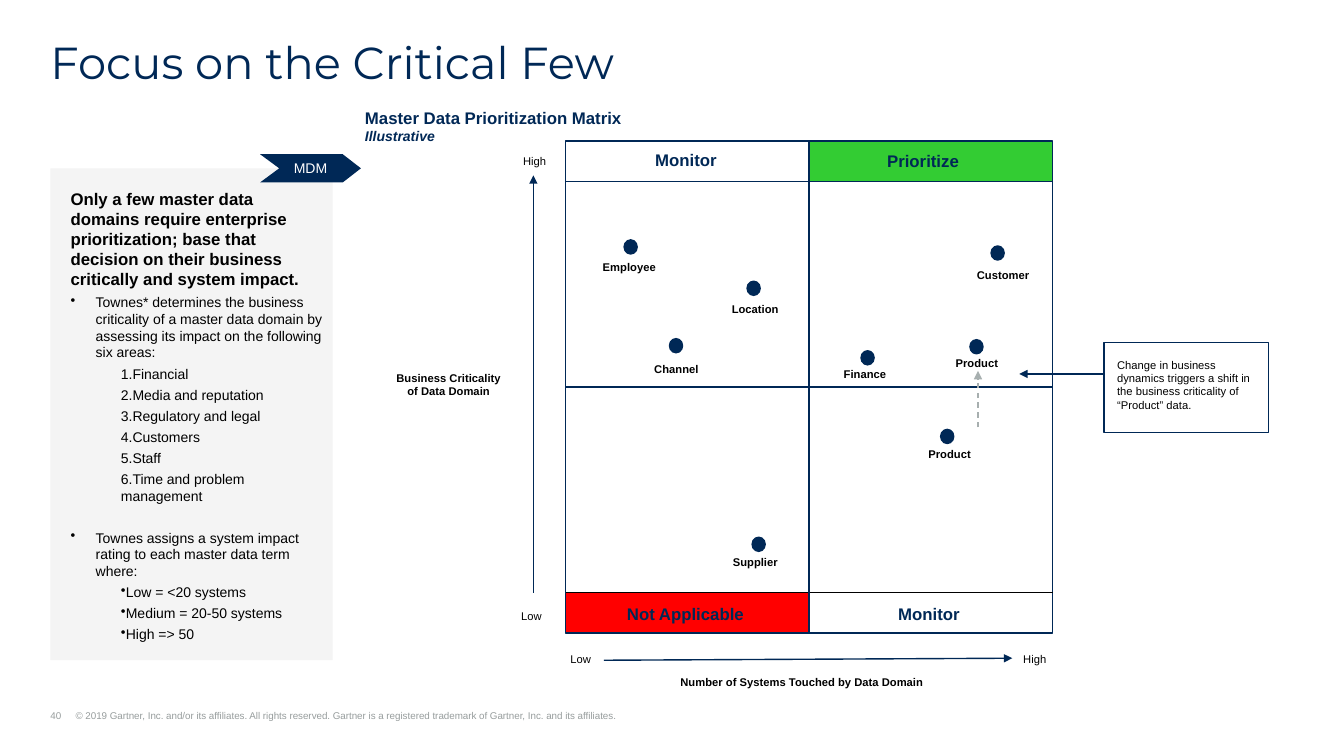
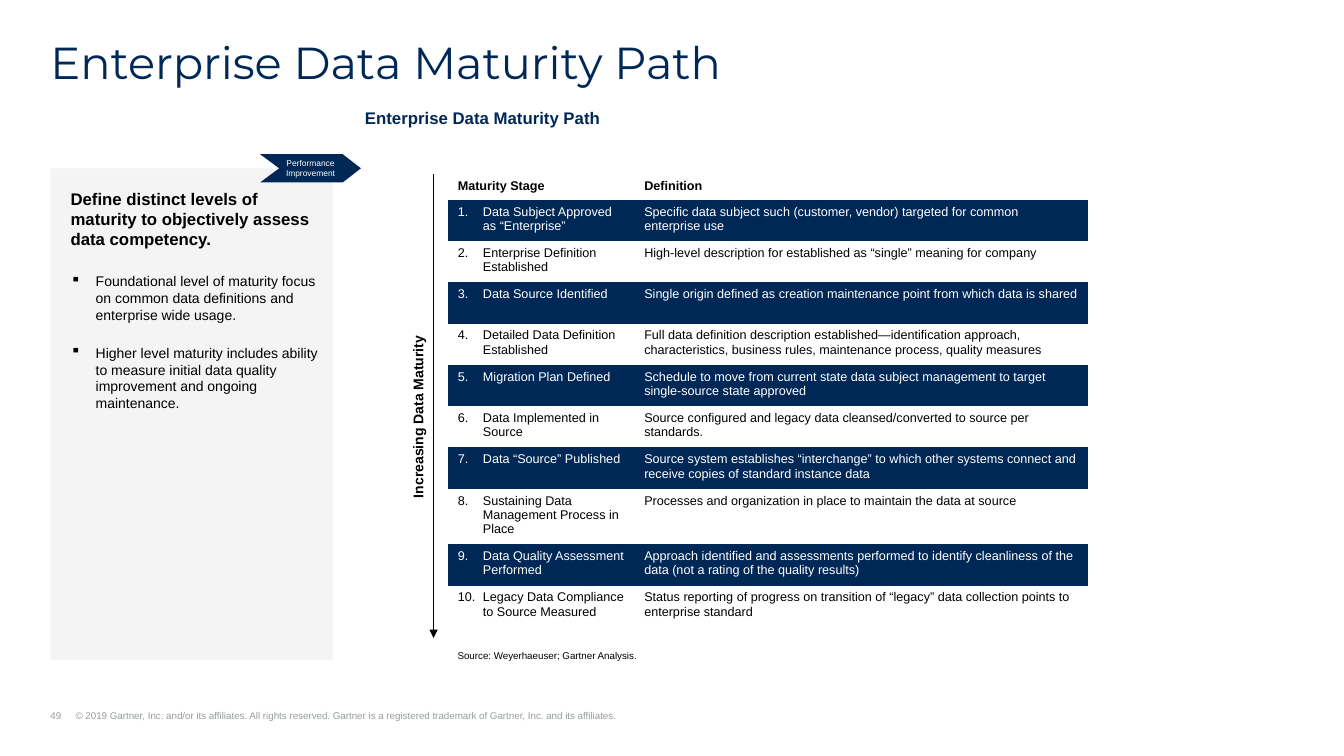
from dataclasses import dataclass

from lxml.etree import SubElement
from pptx import Presentation
from pptx.dml.color import RGBColor
from pptx.enum.dml import MSO_LINE
from pptx.enum.shapes import MSO_CONNECTOR, MSO_SHAPE
from pptx.enum.text import MSO_ANCHOR, MSO_AUTO_SIZE, PP_ALIGN
from pptx.oxml.ns import qn
from pptx.util import Inches, Pt


@dataclass(frozen=True)
class Theme:
    navy: str = "002856"
    black: str = "000000"
    white: str = "FFFFFF"
    panel: str = "F4F4F4"
    footer: str = "979D9D"
    shift: str = "A7AFAF"
    green: str = "33CC33"
    red: str = "FF0000"
    title_font: str = "Montserrat"
    body_font: str = "Arial"
    title_size: int = 32
    head_size: int = 12
    body_size: int = 10
    table_size: int = 9
    label_size: int = 8
    small_size: int = 7
    tag_size: int = 6


THEME = Theme()


def grid(cells):
    """Length of a number of grid cells, a tenth of an inch each."""
    return Inches(cells / 10)


@dataclass(frozen=True)
class Box:
    """An area of the slide, measured in grid cells."""
    left: float
    top: float
    width: float
    height: float

    def inner(self, left, top, width, height):
        return Box(self.left + left, self.top + top, width, height)

    def point(self, across, down):
        return grid(self.left + across), grid(self.top + down)

    def place(self):
        return grid(self.left), grid(self.top), grid(self.width), grid(self.height)


TITLE = Box(5, 4, 123.33, 4.8)
FOOTER = Box(5, 70.4, 79.9, 1.2)
PANEL = Box(5, 16.7, 28, 48.8)
HEADING = Box(36.2, 10.7, 39.2, 4)
MATRIX = Box(56.1, 14, 48.3, 48.8)
STAGES = Box(44.4, 17.3, 63.5, 46)
TAG_OUTLINE = [(0.82, 0), (1, 0.5), (0.82, 1), (0, 1), (0.19, 0.5), (0, 0)]

AREAS = ["Financial", "Media and reputation", "Regulatory and legal", "Customers",
         "Staff", "Time and problem management"]
RATINGS = ["Low = <20 systems", "Medium = 20-50 systems", "High => 50"]

# Domain name, then the corner of its dot and of its label in the matrix
DOMAINS = [
    ("Employee", (5.8, 9.8), (2.7, 11.3)),
    ("Location", (18, 13.9), (15.5, 15.5)),
    ("Channel", (10.3, 19.6), (7.8, 21.5)),
    ("Supplier", (18.5, 39.3), (15.6, 40.6)),
    ("Finance", (29.3, 20.8), (26.6, 21.9)),
    ("Product", (40.1, 19.7), (37.7, 20.9)),
    ("Customer", (42.2, 10.4), (39.8, 12.1)),
    ("Product", (37.2, 28.6), (35, 29.9)),
]

MATURITY = [
    ("Data Subject Approved as “Enterprise”",
     "Specific data subject such (customer, vendor) targeted for common enterprise use"),
    ("Enterprise Definition Established",
     "High-level description for established as “single” meaning for company"),
    ("Data Source Identified",
     "Single origin defined as creation maintenance point from which data is shared"),
    ("Detailed Data Definition Established",
     "Full data definition description established—identification approach, "
     "characteristics, business rules, maintenance process, quality measures"),
    ("Migration Plan Defined",
     "Schedule to move from current state data subject management to target "
     "single-source state approved"),
    ("Data Implemented in Source",
     "Source configured and legacy data cleansed/converted to source per standards."),
    ("Data “Source” Published",
     "Source system establishes “interchange” to which other systems connect and "
     "receive copies of standard instance data"),
    ("Sustaining Data Management Process in Place",
     "Processes and organization in place to maintain the data at source"),
    ("Data Quality Assessment Performed",
     "Approach identified and assessments performed to identify cleanliness of the "
     "data (not a rating of the quality results)"),
    ("Legacy Data Compliance to Source Measured",
     "Status reporting of progress on transition of “legacy” data collection points "
     "to enterprise standard"),
]


# Shared building blocks

def color(value):
    return RGBColor.from_string(value)


def write(para, text, size, tint=THEME.black, bold=False, italic=False,
          font=THEME.body_font, align=PP_ALIGN.LEFT, before=0, after=0):
    para.text = text
    para.alignment = align
    para.space_before, para.space_after = Pt(before), Pt(after)
    for span in para.runs:
        span.font.name, span.font.size = font, Pt(size)
        span.font.bold, span.font.italic = bold, italic
        span.font.color.rgb = color(tint)


def indent(para, margin, hanging=0, char=None, number=None):
    """Set the indent in grid cells, with a bullet or a number if given."""
    props = para._p.get_or_add_pPr()
    props.set("marL", str(grid(margin)))
    props.set("indent", str(grid(-hanging)))
    if char:
        SubElement(props, qn("a:buChar"), char=char)
    if number:
        SubElement(props, qn("a:buAutoNum"), type="arabicPeriod", startAt=str(number))
    return props


def set_frame(frame, insets=(1, 0.5, 1, 0.5), anchor=MSO_ANCHOR.TOP):
    frame.word_wrap = True
    frame.auto_size = MSO_AUTO_SIZE.NONE
    frame.vertical_anchor = anchor
    (frame.margin_left, frame.margin_top,
     frame.margin_right, frame.margin_bottom) = map(grid, insets)
    return frame


def add_label(page, box, text, size=THEME.label_size, insets=(1, 0.5, 1, 0.5), **style):
    label = page.shapes.add_textbox(*box.place())
    write(set_frame(label.text_frame, insets).paragraphs[0], text, size, **style)
    return label


def paint(shape, fill=None, line=None):
    shape.shadow.inherit = False
    if fill:
        shape.fill.solid()
        shape.fill.fore_color.rgb = color(fill)
    else:
        shape.fill.background()
    if line:
        shape.line.color.rgb, shape.line.width = color(line), Pt(1)
    else:
        shape.line.fill.background()
    return shape


def add_block(page, box, kind=MSO_SHAPE.RECTANGLE, **look):
    return paint(page.shapes.add_shape(kind, *box.place()), **look)


def add_line(page, start, end, tint=THEME.navy, width=1, arrow=False, dash=None):
    line = page.shapes.add_connector(MSO_CONNECTOR.STRAIGHT, *start, *end)
    line.line.color.rgb, line.line.width = color(tint), Pt(width)
    if dash:
        line.line.dash_style = dash
    if arrow:
        SubElement(line.line._get_or_add_ln(), qn("a:tailEnd"), type="triangle")
    SubElement(line._element.spPr, qn("a:effectLst"))


# Parts found on every slide

def add_page(deck, title, heading, number):
    page = deck.slides.add_slide(deck.slide_layouts[5])
    holder = page.shapes.title
    holder.left, holder.top, holder.width, holder.height = TITLE.place()
    para = set_frame(holder.text_frame, (0, 0, 0, 0)).paragraphs[0]
    write(para, title, THEME.title_size, THEME.navy, font=THEME.title_font, after=12)
    para.line_spacing = 0.9

    footer = page.shapes.add_textbox(*FOOTER.place())
    para = set_frame(footer.text_frame, (0, 0, 0, 0), MSO_ANCHOR.BOTTOM).paragraphs[0]
    tabs = SubElement(indent(para, 2.5, 2.5), qn("a:tabLst"))
    SubElement(tabs, qn("a:tab"), pos=str(grid(2.5)), algn="l")
    write(para, f"{number}\t© 2019 Gartner, Inc. and/or its affiliates. All rights reserved. "
          "Gartner is a registered trademark of Gartner, Inc. and its affiliates.",
          THEME.small_size, THEME.footer)
    label = add_label(page, HEADING, heading, THEME.head_size, (0, 0, 0, 0),
                      tint=THEME.navy, bold=True)
    return page, label


def add_panel(page, box, message, after):
    panel = add_block(page, box, fill=THEME.panel)
    frame = set_frame(panel.text_frame, (2, 2, 1, 2))
    write(frame.paragraphs[0], message, THEME.head_size, bold=True, after=after)
    return frame


def add_point(frame, text, margin, hanging=0, char=None, number=None, before=0, after=3):
    para = frame.add_paragraph()
    indent(para, margin, hanging, char, number)
    write(para, text, THEME.body_size, before=before, after=after)


def add_tag(page, panel, text, size):
    """Notched arrow across the top right corner of the panel."""
    box = panel.inner(20.8, -1.4, 10, 2.8)
    points = [box.point(x * box.width, y * box.height) for x, y in TAG_OUTLINE]
    builder = page.shapes.build_freeform(*points[0])
    builder.add_line_segments(points[1:], close=True)
    tag = paint(builder.convert_to_shape(), fill=THEME.navy)
    frame = set_frame(tag.text_frame, anchor=MSO_ANCHOR.MIDDLE)
    write(frame.paragraphs[0], text, size, THEME.white, align=PP_ALIGN.CENTER)


# Prioritization matrix

def add_matrix(page, box):
    band, middle = 4, box.width / 2
    base = box.height - band
    add_block(page, box.inner(middle, 0, middle, band), fill=THEME.green)
    add_block(page, box.inner(0, base, middle, band), fill=THEME.red)
    add_block(page, box, line=THEME.navy)
    for down, tint in ((box.height / 2, THEME.navy), (base, THEME.black), (band, THEME.navy)):
        add_line(page, box.point(0, down), box.point(box.width, down), tint)
    add_line(page, box.point(middle, 0), box.point(middle, box.height))

    for text, left, top in (("Monitor", 7.9, 0.4), ("Prioritize", 30.9, 0.5),
                            ("Not Applicable", 5.1, 45.4), ("Monitor", 32, 45.4)):
        add_label(page, box.inner(left, top, 15.2, 3), text, THEME.head_size,
                  tint=THEME.navy, bold=True)
    for name, dot, label in DOMAINS:
        add_block(page, box.inner(*dot, 1.3, 1.4), MSO_SHAPE.OVAL,
                  fill=THEME.navy, line=THEME.navy)
        add_label(page, box.inner(*label, 11.3, 2.4), name, bold=True)


def add_axes(page, box):
    add_line(page, box.point(-3.2, 44.8), box.point(-3.2, 3.4), arrow=True)
    add_line(page, box.point(3.8, 51.5), box.point(44.3, 51.3), arrow=True)
    for text, left, top in (("Low", -5.4, 46), ("High", -5.2, 0.8),
                            ("Low", -0.5, 50.2), ("High", 44.4, 50.2)):
        add_label(page, box.inner(left, top, 5.6, 2.4), text)
    add_label(page, box.inner(-17.9, 22.3, 12.6, 3.7), "Business Criticality of Data Domain",
              bold=True, align=PP_ALIGN.CENTER)
    add_label(page, box.inner(10.4, 52.5, 39.7, 2.4),
              "Number of Systems Touched by Data Domain", bold=True)


def add_shift_note(page, box):
    note = add_block(page, box.inner(53.4, 20, 16.3, 8.9), line=THEME.navy)
    write(set_frame(note.text_frame, (1.3, 1.5, 1.3, 0.5)).paragraphs[0],
          "Change in business dynamics triggers a shift in the business criticality of "
          "“Product” data.", THEME.label_size)
    add_line(page, box.point(53.4, 23.1), box.point(45, 23.1), arrow=True)
    add_line(page, box.point(40.9, 28.4), box.point(40.9, 22.8), THEME.shift,
             arrow=True, dash=MSO_LINE.DASH)


# Maturity table

def add_stage_table(page, box):
    rows = [("Maturity Stage", "Definition"), *MATURITY]
    table = page.shapes.add_table(len(rows), 2, *box.place()).table
    table.first_row = table.horz_banding = False
    plain_style = "{2D5ABB26-0587-4C30-8999-92F81FD0307C}"
    table._tbl.tblPr.find(qn("a:tableStyleId")).text = plain_style
    for column, width in zip(table.columns, (18.5, 45)):
        column.width = grid(width)
    for index, texts in enumerate(rows):
        dark = index % 2 == 1
        table.rows[index].height = grid({0: 2.5, 8: 5.5, 10: 5.5}.get(index, 4.1))
        for side, text in enumerate(texts):
            cell = table.cell(index, side)
            cell.fill.solid()
            cell.fill.fore_color.rgb = color(THEME.navy if dark else THEME.white)
            para = cell.text_frame.paragraphs[0]
            if index and side == 0:
                indent(para, 2.5, 2.5, number=index)
            write(para, text, THEME.table_size, THEME.white if dark else THEME.black,
                  bold=index == 0)


def add_maturity_axis(page, box):
    add_line(page, box.point(-1.4, 0), box.point(-1.4, box.height), THEME.black,
             width=0.01, arrow=True)
    label = add_label(page, box.inner(-15.3, 18.2, 25.4, 2.4), "Increasing Data Maturity",
                      THEME.body_size, (0, 0, 0, 0), bold=True)
    label.rotation = 270


# Slides

def build_matrix_slide(deck):
    page, heading = add_page(deck, "Focus on the Critical Few",
                             "Master Data Prioritization Matrix", 40)
    write(heading.text_frame.add_paragraph(), "Illustrative", THEME.body_size,
          THEME.navy, bold=True, italic=True)
    frame = add_panel(page, PANEL, "Only a few master data domains require enterprise "
                      "prioritization; base that decision on their business critically "
                      "and system impact.", after=3)
    add_point(frame, "Townes* determines the business criticality of a master data domain "
              "by assessing its impact on the following six areas:", 2.5, 2.5, "•")
    for area in AREAS:
        add_point(frame, area, 5, number=1)
    add_point(frame, "Townes assigns a system impact rating to each master data term where:",
              2.5, 2.5, "•", before=15)
    for rating in RATINGS:
        add_point(frame, rating, 5, char="•")
    add_matrix(page, MATRIX)
    add_axes(page, MATRIX)
    add_shift_note(page, MATRIX)
    add_tag(page, PANEL, "MDM", THEME.body_size)


def build_maturity_slide(deck):
    name = "Enterprise Data Maturity Path"
    page, _ = add_page(deck, name, name, 49)
    frame = add_panel(page, PANEL, "Define distinct levels of maturity to objectively "
                      "assess data competency.", after=12)
    for text in ("Foundational level of maturity focus on common data definitions and "
                 "enterprise wide usage.",
                 "Higher level maturity includes ability to measure initial data quality "
                 "improvement and ongoing maintenance."):
        add_point(frame, text, 2.5, 2.5, "▪", before=5, after=10)
    add_stage_table(page, STAGES)
    add_maturity_axis(page, STAGES)
    add_label(page, STAGES.inner(0, 46.7, 50, 2.2), "Source: Weyerhaeuser; Gartner Analysis.",
              THEME.small_size)
    add_tag(page, PANEL, "Performance Improvement", THEME.tag_size)


def main():
    deck = Presentation()
    deck.slide_width, deck.slide_height = Inches(13.33), Inches(7.5)
    build_matrix_slide(deck)
    build_maturity_slide(deck)
    deck.save("out.pptx")


if __name__ == "__main__":
    main()
